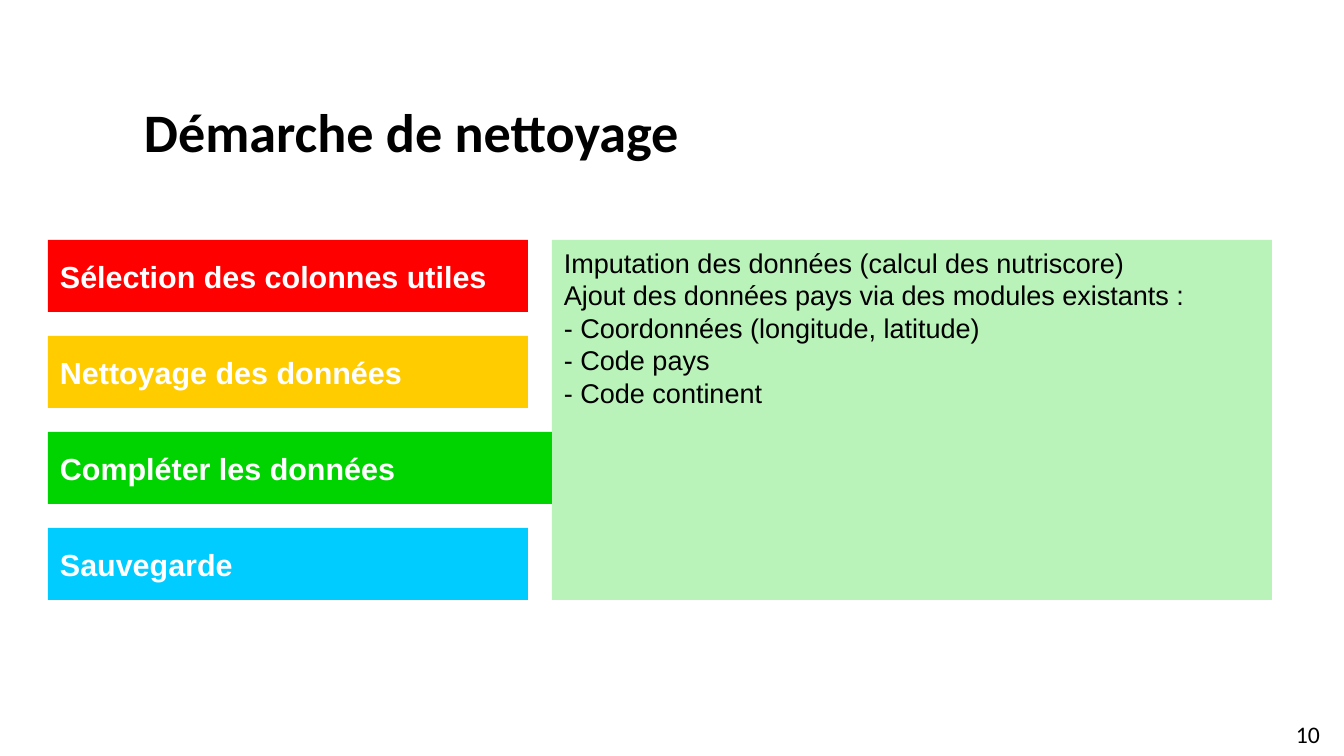
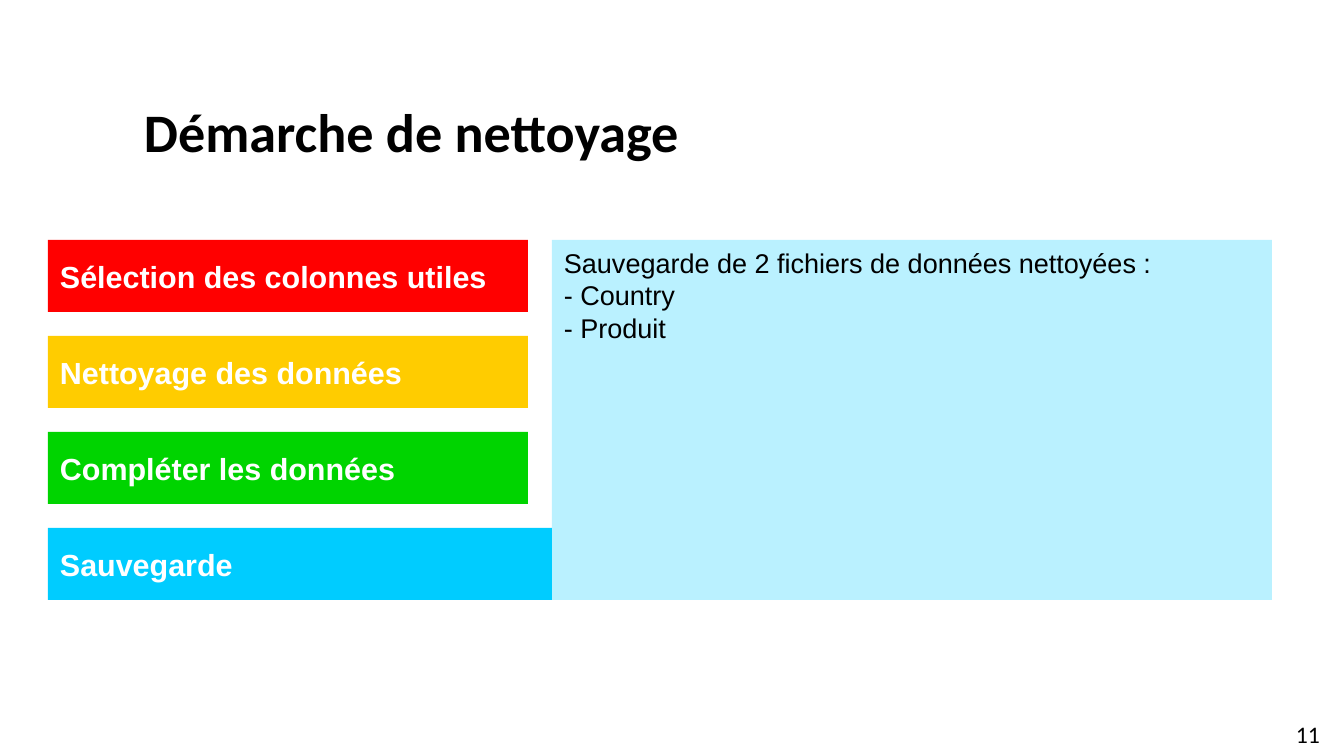
"""Build the two slides on completing and saving the cleaned data."""
from lxml import etree
from pptx import Presentation
from pptx import util as u
from pptx.dml.color import RGBColor
from pptx.enum import shapes, text
from pptx.oxml.ns import qn

BLACK = RGBColor(0x00, 0x00, 0x00)
WHITE = RGBColor(0xFF, 0xFF, 0xFF)
RED = RGBColor(0xFF, 0x00, 0x00)
YELLOW = RGBColor(0xFF, 0xCC, 0x00)
GREEN = RGBColor(0x00, 0xD4, 0x00)
BLUE = RGBColor(0x00, 0xCC, 0xFF)

TITLE = "Démarche de nettoyage"
STEPS = [
    ("Sélection des colonnes utiles", RED),
    ("Nettoyage des données", YELLOW),
    ("Compléter les données", GREEN),
    ("Sauvegarde", BLUE),
]
PAGES = [
    (10, 2, [
        "Imputation des données (calcul des nutriscore)",
        "Ajout des données pays via des modules existants :",
        "- Coordonnées (longitude, latitude)",
        "- Code pays",
        "- Code continent",
    ]),
    (11, 3, [
        "Sauvegarde de 2 fichiers de données nettoyées :",
        "- Country",
        "- Produit",
    ]),
]

LEFT, TOP = 1, 5
STEP_WIDTH, STEP_HEIGHT, GAP = 10, 1.5, 0.5
PANEL_LEFT, PANEL_WIDTH = 11.5, 15
PANEL_HEIGHT = len(STEPS) * (STEP_HEIGHT + GAP) - GAP
PANEL_OPACITY = 27


def write(shape, lines, font="Arial", size=18, color=BLACK, bold=False,
          align=text.PP_ALIGN.LEFT, anchor=text.MSO_ANCHOR.MIDDLE, margins=(0.25, 0.13)):
    frame = shape.text_frame
    frame.word_wrap = True
    frame.vertical_anchor = anchor
    frame.margin_left = frame.margin_right = u.Cm(margins[0])
    frame.margin_top = frame.margin_bottom = u.Cm(margins[1])
    frame.text = "\n".join(lines)
    for paragraph in frame.paragraphs:
        paragraph.alignment = align
        paragraph.font.name = font
        paragraph.font.size = u.Pt(size)
        paragraph.font.bold = bold
        paragraph.font.color.rgb = color


class Deck:
    def __init__(self):
        self.presentation = Presentation()
        self.presentation.slide_width = u.Cm(28)
        self.presentation.slide_height = u.Cm(15.75)
        self.slide = None

    def new_slide(self):
        self.slide = self.presentation.slides.add_slide(self.presentation.slide_layouts[6])

    def label(self, content, left, top, width, height, **style):
        box = self.slide.shapes.add_textbox(u.Cm(left), u.Cm(top), u.Cm(width), u.Cm(height))
        write(box, [content], font="Calibri", margins=(0, 0), **style)

    def title(self, content):
        self.label(content, 3, 1.85, 23.6, 1.75, size=32, bold=True)

    def page_number(self, number):
        self.label(str(number), 20.97, 15, 6.53, 0.44, size=14,
                   align=text.PP_ALIGN.RIGHT, anchor=text.MSO_ANCHOR.TOP)

    def block(self, left, top, width, height, color):
        shape = self.slide.shapes.add_shape(
            shapes.MSO_SHAPE.RECTANGLE, u.Cm(left), u.Cm(top), u.Cm(width), u.Cm(height))
        shape.shadow.inherit = False
        shape.fill.solid()
        shape.fill.fore_color.rgb = color
        shape.line.fill.background()
        return shape

    def steps(self, active):
        for index, (name, color) in enumerate(STEPS):
            width = PANEL_LEFT - LEFT if index == active else STEP_WIDTH
            top = TOP + index * (STEP_HEIGHT + GAP)
            shape = self.block(LEFT, top, width, STEP_HEIGHT, color)
            write(shape, [name], color=WHITE, bold=True)

    def panel(self, lines, color):
        shape = self.block(PANEL_LEFT, TOP, PANEL_WIDTH, PANEL_HEIGHT, color)
        fill_color = shape.fill._xPr.find(qn("a:solidFill")).find(qn("a:srgbClr"))
        etree.SubElement(fill_color, qn("a:alpha")).set("val", str(PANEL_OPACITY * 1000))
        write(shape, lines, size=16, anchor=text.MSO_ANCHOR.TOP)


def main():
    deck = Deck()
    for number, active, lines in PAGES:
        deck.new_slide()
        deck.title(TITLE)
        deck.steps(active)
        deck.panel(lines, STEPS[active][1])
        deck.page_number(number)
    deck.presentation.save("out.pptx")


if __name__ == "__main__":
    main()
